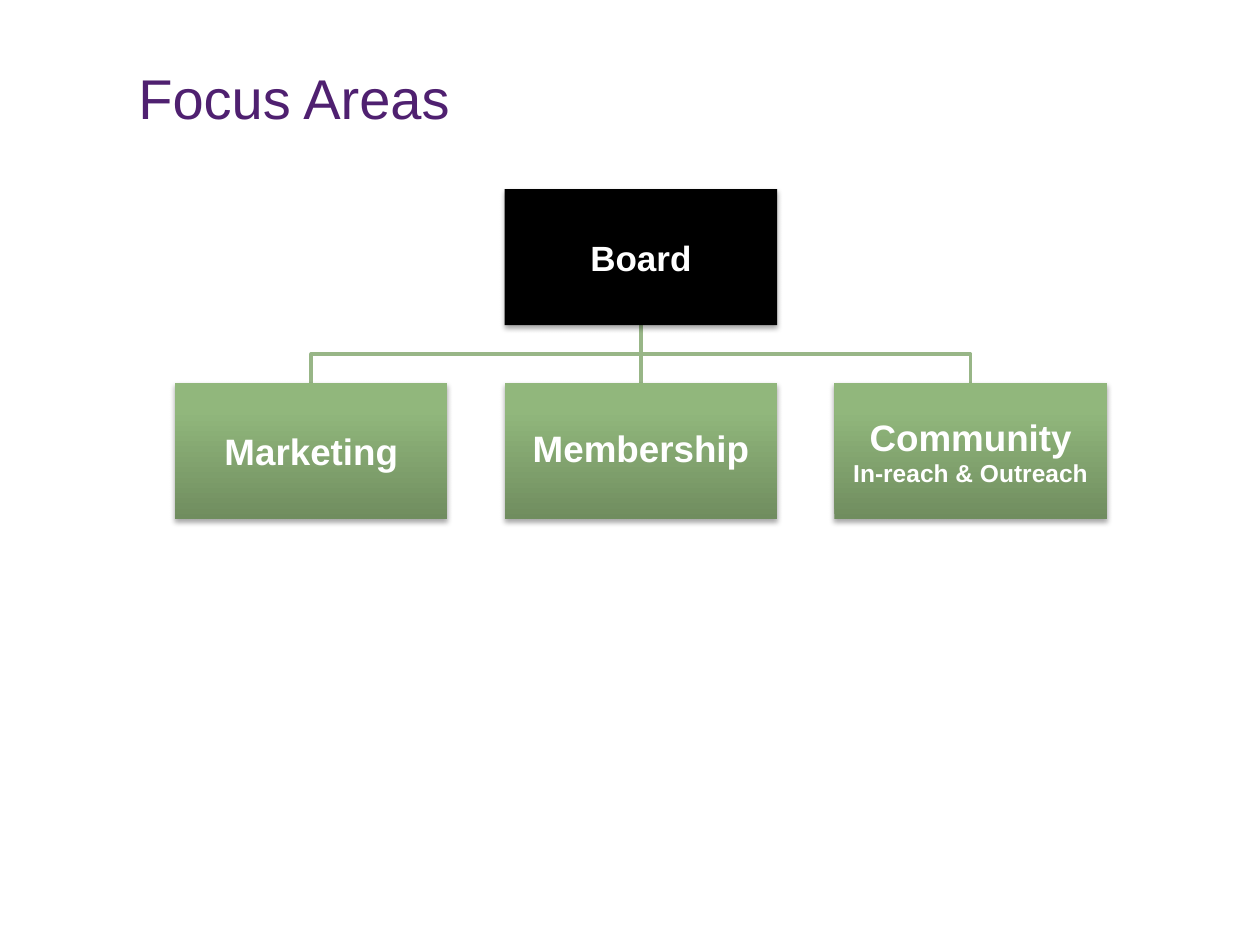
from lxml.etree import SubElement
from pptx import Presentation
from pptx.dml.color import RGBColor
from pptx.enum.shapes import MSO_SHAPE
from pptx.enum.text import MSO_ANCHOR, PP_ALIGN
from pptx.oxml import parse_xml
from pptx.oxml.ns import nsdecls, qn
from pptx.util import Pt

# Content: each box is a list of (text, size name) lines
TITLE = "Focus Areas"
BOARD = [("Board", "board")]
AREAS = [
    {"lines": [("Marketing", "area")]},
    {"lines": [("Membership", "area")], "spacing": 0.9},
    {"lines": [("Community", "area"), ("In-reach & Outreach", "detail")]},
]

THEME = {
    "font": "Arial",
    "title": "4F2070", "paper": "FFFFFF", "board": "000000", "link": "98B687",
    "gradient": [(0, "708D5F"), (80, "91B77C"), (100, "92B97B")],
    "sizes": {"title": 32, "board": 20, "area": 21, "detail": 14},
}

# Layout in points
BOX_W, BOX_H = 155.7, 77.8
LEFT, PITCH = 100, 188.4
BOARD_Y, AREA_Y = 108, 218.8


def rgb(name):
    return RGBColor.from_string(THEME[name])


def write(sp, lines, color, align, bold, inset, spacing=None):
    tf = sp.text_frame
    frame = {"word_wrap": True, "vertical_anchor": MSO_ANCHOR.MIDDLE,
             "margin_left": Pt(inset[0]), "margin_right": Pt(inset[0]),
             "margin_top": Pt(inset[1]), "margin_bottom": Pt(inset[1])}
    for key, value in frame.items():
        setattr(tf, key, value)
    for i, (text, size) in enumerate(lines):
        p = tf.add_paragraph() if i else tf.paragraphs[0]
        p.alignment, p.line_spacing = align, spacing
        r = p.add_run()
        r.text = text
        font = {"name": THEME["font"], "size": Pt(THEME["sizes"][size]), "bold": bold}
        for key, value in font.items():
            setattr(r.font, key, value)
        r.font.color.rgb = rgb(color)


def add_rect(s, x, y, w, h):
    sp = s.shapes.add_shape(MSO_SHAPE.RECTANGLE, Pt(x), Pt(y), Pt(w), Pt(h))
    sp.shadow.inherit = False
    sp.line.fill.background()
    return sp


def add_shadow(sp):
    effects = sp._element.spPr.find(qn("a:effectLst"))
    shadow = SubElement(effects, qn("a:outerShdw"), blurRad=str(Pt(3.1)),
                        dist=str(Pt(1.8)), dir="5400000", rotWithShape="0")
    color = SubElement(shadow, qn("a:srgbClr"), val="000000")
    SubElement(color, qn("a:alpha"), val="35000")


def fill_gradient(sp):
    stops = "".join(f'<a:gs pos="{pos * 1000}"><a:srgbClr val="{c}"/></a:gs>'
                    for pos, c in THEME["gradient"])
    fill = parse_xml(f'<a:gradFill {nsdecls("a")} rotWithShape="1"><a:gsLst>{stops}</a:gsLst>'
                     '<a:lin ang="16200000" scaled="0"/></a:gradFill>')
    sp._element.spPr.find(qn("a:prstGeom")).addnext(fill)


def add_box(s, x, y, lines, solid=None, spacing=None):
    sp = add_rect(s, x, y, BOX_W, BOX_H)
    if solid:
        sp.fill.solid()
        sp.fill.fore_color.rgb = rgb(solid)
    else:
        fill_gradient(sp)
    add_shadow(sp)
    write(sp, lines, "paper", PP_ALIGN.CENTER, True, (1, 1), spacing)


def add_link(s, x1, y1, x2, y2):
    mid = (y1 + y2) / 2
    points = [(x1, mid), (x2, mid), (x2, y2)] if x1 != x2 else [(x2, y2)]
    builder = s.shapes.build_freeform(Pt(x1), Pt(y1), scale=1.0)
    builder.add_line_segments([(Pt(x), Pt(y)) for x, y in points], close=False)
    sp = builder.convert_to_shape()
    sp.shadow.inherit = False
    sp.fill.background()
    sp.line.color.rgb = rgb("link")
    sp.line.width = Pt(2)


def main():
    prs = Presentation()
    prs.slide_width, prs.slide_height = Pt(720), Pt(540)
    s = prs.slides.add_slide(prs.slide_layouts[6])

    # Title
    sp = add_rect(s, 72, 34, 600, 48)
    sp.fill.solid()
    sp.fill.fore_color.rgb = rgb("paper")
    write(sp, [(TITLE, "title")], "title", PP_ALIGN.LEFT, False, (7.2, 3.6), 0.9)

    # Links from the board to each area
    xs = [LEFT + i * PITCH for i in range(len(AREAS))]
    board_x = sum(xs) / len(xs)
    for x in xs:
        add_link(s, board_x + BOX_W / 2, BOARD_Y + BOX_H, x + BOX_W / 2, AREA_Y)

    # Boxes
    add_box(s, board_x, BOARD_Y, BOARD, solid="board")
    for x, area in zip(xs, AREAS):
        add_box(s, x, AREA_Y, **area)

    prs.save("out.pptx")


if __name__ == "__main__":
    main()
